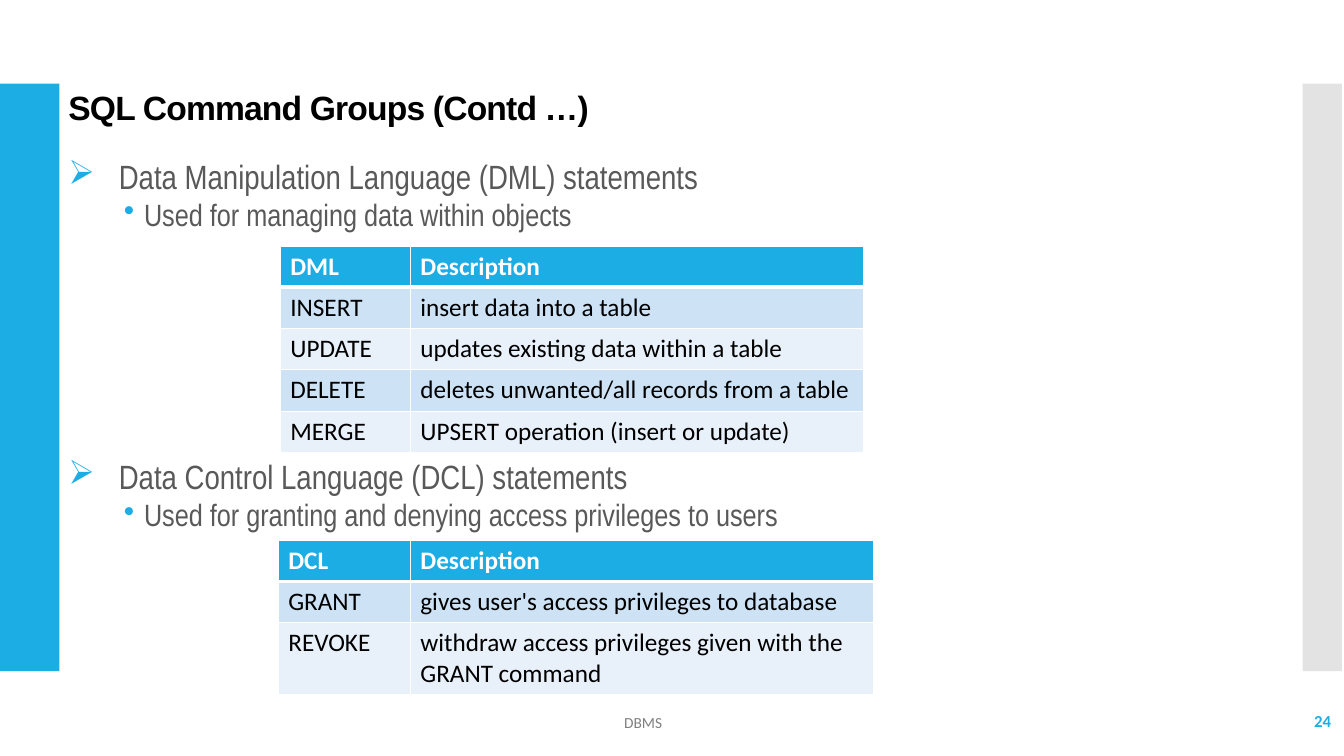
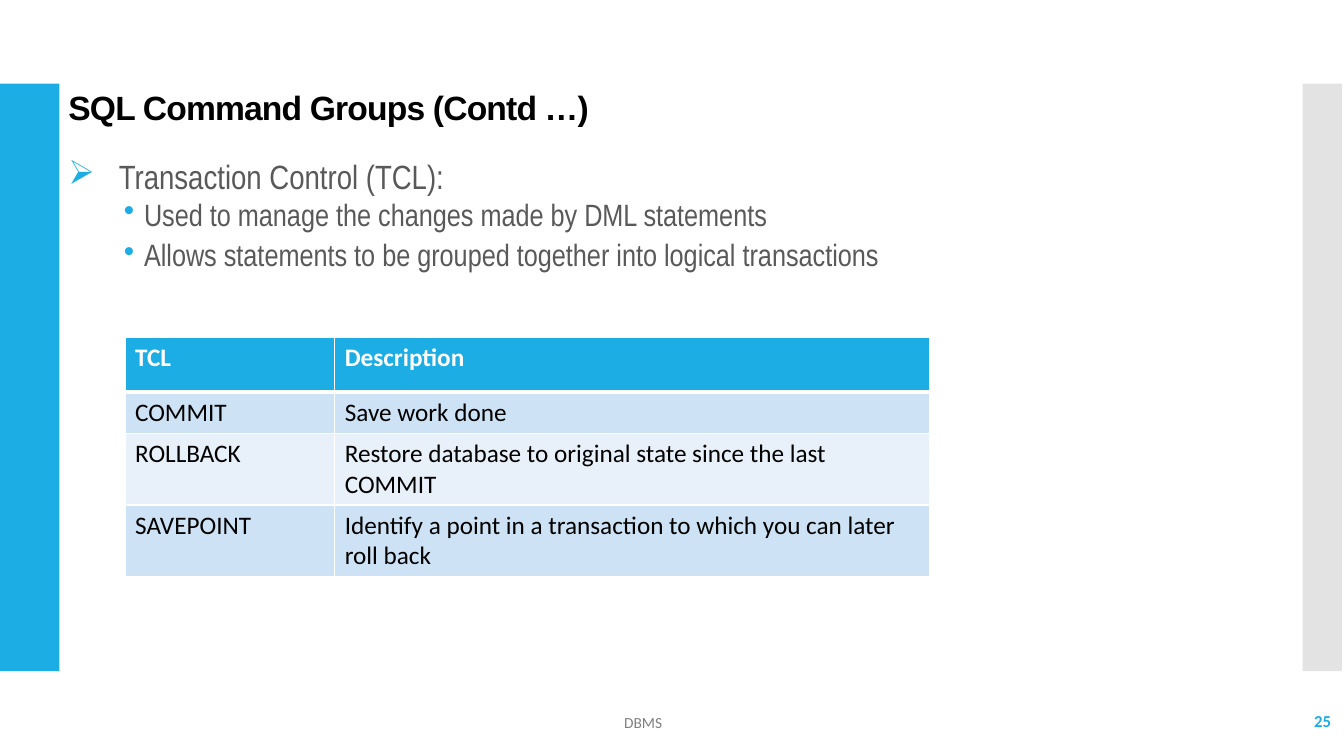
import pptx
import pptx.util
import pptx.dml.color
import pptx.enum.shapes
import pptx.enum.text
import pptx.oxml
import pptx.oxml.ns
from lxml import etree

Inches, Pt = pptx.util.Inches, pptx.util.Pt
RGBColor = pptx.dml.color.RGBColor
Align, Anchor = pptx.enum.text.PP_ALIGN, pptx.enum.text.MSO_ANCHOR
qn = pptx.oxml.ns.qn

ACCENT = RGBColor(0x1C, 0xAD, 0xE4)
BAND_GRAY = RGBColor(0xC8, 0xC8, 0xC8)
BODY_GRAY = RGBColor(0x59, 0x59, 0x59)
FOOTER_GRAY = RGBColor(0x80, 0x80, 0x80)
BLACK = RGBColor(0, 0, 0)
WHITE = RGBColor(0xFF, 0xFF, 0xFF)
ROW_FILLS = [RGBColor(0xE8, 0xF1, 0xFA), RGBColor(0xCD, 0xE3, 0xF5)]

TITLE = "SQL Command Groups (Contd …)"
FOOTER = "DBMS"
LINE, TWO_LINES = 0.41, 0.71  # table row heights

# Each topic: top, heading, points, table position, column widths, row heights, rows
SLIDES = [
    (24, [
        (1.54, "Data Manipulation Language (DML) statements",
         ["Used for managing data within objects"],
         (2.78, 2.44), (1.29, 4.5), [LINE] * 5,
         [("DML", "Description"),
          ("INSERT", "insert data into a table"),
          ("UPDATE", "updates existing data within a table"),
          ("DELETE", "deletes unwanted/all records from a table"),
          ("MERGE", "UPSERT operation (insert or update)")]),
        (4.52, "Data Control Language (DCL) statements",
         ["Used for granting and denying access privileges to users"],
         (2.76, 5.36), (1.31, 4.59), [LINE, LINE, TWO_LINES],
         [("DCL", "Description"),
          ("GRANT", "gives user's access privileges to database"),
          ("REVOKE", "withdraw access privileges given with the GRANT command")]),
    ]),
    (25, [
        (1.54, "Transaction Control (TCL):",
         ["Used to manage the changes made by DML statements",
          "Allows statements to be grouped together into logical transactions"],
         (1.24, 3.35), (2.08, 5.9), [0.54, LINE, TWO_LINES, TWO_LINES],
         [("TCL", "Description"),
          ("COMMIT", "Save work done"),
          ("ROLLBACK", "Restore database to original state since the last COMMIT"),
          ("SAVEPOINT", "Identify a point in a transaction to which you can later roll back")]),
    ]),
]


def set_font(paragraph, name, size, color, bold=False):
    font = paragraph.font
    font.name, font.size, font.bold = name, Pt(size), bold
    font.color.rgb = color


def add_text(slide, box, text, anchor=Anchor.TOP):
    frame = slide.shapes.add_textbox(*[Inches(v) for v in box]).text_frame
    frame.word_wrap = True
    frame.vertical_anchor = anchor
    frame.text = text
    return frame


deck = pptx.Presentation()
deck.slide_width, deck.slide_height = Inches(13.33), Inches(7.5)

for number, topics in SLIDES:
    slide = deck.slides.add_slide(deck.slide_layouts[6])

    # Side bands
    for left, width, color in [(0, 0.59, ACCENT), (12.92, 0.39, BAND_GRAY)]:
        band = slide.shapes.add_shape(
            pptx.enum.shapes.MSO_SHAPE.RECTANGLE,
            Inches(left), Inches(0.83), Inches(width), Inches(5.83))
        band.shadow.inherit = False
        band.fill.solid()
        band.fill.fore_color.rgb = color
        band.line.fill.background()
        if color == BAND_GRAY:
            tint = band.fill._xPr.find(".//" + qn("a:srgbClr"))
            etree.SubElement(tint, qn("a:alpha"), val="50000")

    # Title
    title = add_text(slide, (0.58, 0.86, 10.44, 0.4), TITLE).paragraphs[0]
    title.line_spacing = 0.9
    title.runs[0]._r.get_or_add_rPr().set("spc", "-60")
    set_font(title, "Arial", 24, BLACK, True)

    # Footer and slide number
    footer = add_text(slide, (3.15, 6.97, 6.46, 0.4), FOOTER, Anchor.MIDDLE).paragraphs[0]
    footer.alignment = Align.CENTER
    set_font(footer, "Calibri", 11, FOOTER_GRAY)
    page = add_text(slide, (11.63, 6.95, 1.67, 0.4), str(number), Anchor.MIDDLE).paragraphs[0]
    page.alignment = Align.RIGHT
    set_font(page, "Calibri", 12, ACCENT, True)

    for top, heading, points, corner, widths, heights, rows in topics:
        # Heading with its points
        outline = add_text(slide, (0.58, top, 11.62, 0.4 + 0.4 * len(points)),
                           "\n".join([heading] + points))
        for i, paragraph in enumerate(outline.paragraphs):
            paragraph.line_spacing = 0.9
            if i == 0:
                margin, hanging, bullet, size = 0.5, -0.5, "➢", 24
            else:
                margin, hanging, bullet, size = 0.75, -0.2, "•", 22
                paragraph.level = 1
                paragraph.space_before = paragraph.space_after = Pt(2.5)
            props = paragraph._p.get_or_add_pPr()
            props.set("marL", str(Inches(margin)))
            props.set("indent", str(Inches(hanging)))
            bullet_color = etree.SubElement(props, qn("a:buClr"))
            etree.SubElement(bullet_color, qn("a:srgbClr"), val=str(ACCENT))
            etree.SubElement(props, qn("a:buChar"), char=bullet)
            set_font(paragraph, "Arial Narrow", size, BODY_GRAY)

        # Command table
        commands = slide.shapes.add_table(
            len(rows), len(widths), Inches(corner[0]), Inches(corner[1]),
            Inches(sum(widths)), Inches(sum(heights))).table
        for column, width in zip(commands.columns, widths):
            column.width = Inches(width)
        for r, (height, texts) in enumerate(zip(heights, rows)):
            commands.rows[r].height = Inches(height)
            for c, text in enumerate(texts):
                cell = commands.cell(r, c)
                cell.text = text
                set_font(cell.text_frame.paragraphs[0], "Calibri", 18,
                         BLACK if r else WHITE, r == 0)
                # Borders go before the fill; the rule under the header is thicker
                for side in "LRTB":
                    thick = (r, side) in [(0, "B"), (1, "T")]
                    border = etree.SubElement(cell._tc.get_or_add_tcPr(), qn("a:ln" + side),
                                              w=str(Pt(3 if thick else 1)))
                    stroke = etree.SubElement(border, qn("a:solidFill"))
                    etree.SubElement(stroke, qn("a:srgbClr"), val=str(WHITE))
                cell.fill.solid()
                cell.fill.fore_color.rgb = ROW_FILLS[r % 2] if r else ACCENT

deck.save("out.pptx")
